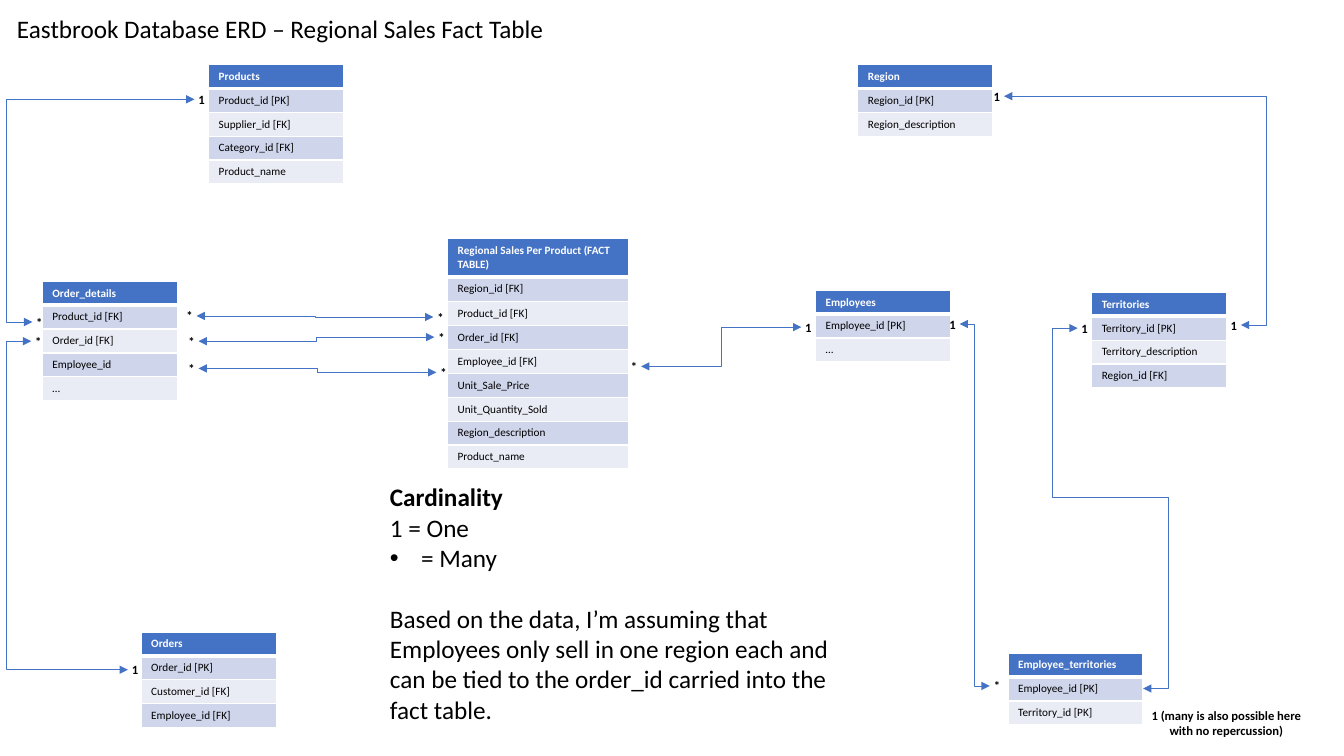
from lxml.etree import SubElement
from pptx import Presentation
from pptx.dml.color import RGBColor
from pptx.enum.shapes import MSO_CONNECTOR
from pptx.enum.text import PP_ALIGN
from pptx.oxml.ns import qn
from pptx.util import Inches, Pt

COLORS = {"header": "4472C4", "odd": "CFD5EA", "even": "E9EBF5",
          "line": "4472C4", "light": "FFFFFF", "text": "000000"}
FONT = "Calibri"
UNIT = Inches(0.1)  # one column or row of the slide grid
ENTITY_WIDTH, FIELD_HEIGHT = 13.4, 2.3
MARK_WIDTH, MARK_HEIGHT = 1.4, 2.5

# left, top, name, fields
ENTITIES = [
    (100, 64.8, "Employee_territories", ["Employee_id [PK]", "Territory_id [PK]"]),
    (80.9, 28.8, "Employees", ["Employee_id [PK]", "…"]),
    (4.2, 27.9, "Order_details",
     ["Product_id [FK]", "Order_id [FK]", "Employee_id", "…"]),
    (14, 62.7, "Orders", ["Order_id [PK]", "Customer_id [FK]", "Employee_id [FK]"]),
    (20.7, 6.4, "Products",
     ["Product_id [PK]", "Supplier_id [FK]", "Category_id [FK]", "Product_name"]),
    (85.1, 6.4, "Region", ["Region_id [PK]", "Region_description"]),
    (108.3, 29, "Territories",
     ["Territory_id [PK]", "Territory_description", "Region_id [FK]"]),
]
FACT_FIELDS = ["Region_id [FK]", "Product_id [FK]", "Order_id [FK]",
               "Employee_id [FK]", "Unit_Sale_Price", "Unit_Quantity_Sold",
               "Region_description", "Product_name"]

# Each end: left and top of its mark, the mark, the side where the arrow meets it.
# Last: the shares of the span where the arrow bends.
RELATIONS = [
    ((79.5, 31.2, "1", "left"), (62.2, 35.1, "*", "right"), [0.5]),
    ((121.7, 31, "1", "right"), (98.2, 8.3, "1", "right"), [-0.11]),
    ((106.9, 31.3, "1", "left"), (113.4, 67.05, "", "left"), [-0.39, 0.47, 1.39]),
    ((98.2, 66.8, "*", "left"), (93.8, 30.9, "1", "right"), [0.5]),
    ((3.2, 30.7, "*", "left"), (19.3, 8.6, "1", "left"), [-0.16]),
    ((3.1, 32.6, "*", "left"), (12.7, 65.2, "1", "left"), [-0.26]),
    ((43, 30.2, "*", "left"), (18.1, 30.1, "*", "right"), [0.5]),
    ((43.1, 32.2, "*", "left"), (18.3, 32.6, "*", "right"), [0.5]),
    ((43.3, 35.7, "*", "left"), (18.3, 35.3, "*", "right"), [0.5]),
]


def grid(*cells):
    """Turn grid columns and rows into slide lengths."""
    return [int(cell * UNIT) for cell in cells]


def style(paragraph, size, color="text", bold=False):
    """Set the font of a whole paragraph."""
    font = paragraph.font
    font.name, font.size, font.bold = FONT, Pt(size), bold
    font.color.rgb = RGBColor.from_string(COLORS[color])


def add_text(slide, box, lines, size, bold=False, align=PP_ALIGN.LEFT, inset=1):
    """Fill a box with one paragraph per line and return the paragraphs."""
    frame = slide.shapes.add_textbox(*grid(*box)).text_frame
    frame.word_wrap = True
    frame.margin_left, frame.margin_right = grid(inset, inset)
    frame.text = "\n".join(lines)
    for paragraph in frame.paragraphs:
        paragraph.alignment = align
        style(paragraph, size, bold=bold)
    return frame.paragraphs


def add_borders(cell, is_header):
    """Draw white cell borders, with a thick rule under the header."""
    properties = cell._tc.get_or_add_tcPr()
    for side in ("L", "R", "T", "B"):
        width = 3 if is_header and side == "B" else 1
        border = SubElement(properties, qn(f"a:ln{side}"), w=str(Pt(width)))
        fill = SubElement(border, qn("a:solidFill"))
        SubElement(fill, qn("a:srgbClr"), val=COLORS["light"])


def add_entity(slide, left, top, name, fields, width=ENTITY_WIDTH, heights=()):
    """Place a database table: its name, then its fields in banded rows."""
    labels = [name, *fields]
    heights = [*heights] + [FIELD_HEIGHT] * (len(labels) - len(heights))
    box = grid(left, top, width, sum(heights))
    table = slide.shapes.add_table(len(labels), 1, *box).table
    for index, (label, height) in enumerate(zip(labels, heights)):
        table.rows[index].height = grid(height)[0]
        cell = table.cell(index, 0)
        is_header = index == 0
        add_borders(cell, is_header)
        band = "header" if is_header else "odd" if index % 2 else "even"
        cell.fill.solid()
        cell.fill.fore_color.rgb = RGBColor.from_string(COLORS[band])
        cell.text = label
        style(cell.text_frame.paragraphs[0], 8,
              "light" if is_header else "text", is_header)


def add_mark(slide, left, top, symbol, side):
    """Place a cardinality mark and return the point where its arrow starts."""
    if symbol:
        add_text(slide, (left, top, MARK_WIDTH, MARK_HEIGHT), [symbol], 9,
                 bold=True, align=PP_ALIGN.CENTER, inset=0)
    return grid(left + (MARK_WIDTH if side == "right" else 0), top + MARK_HEIGHT / 2)


def add_relation(slide, start, end, bends):
    """Join two marks with a bent, double-headed arrow."""
    points = add_mark(slide, *start) + add_mark(slide, *end)
    connector = slide.shapes.add_connector(MSO_CONNECTOR.ELBOW, *points)
    connector.line.color.rgb = RGBColor.from_string(COLORS["line"])
    connector.line.width = Pt(0.5)
    line = connector.line._get_or_add_ln()
    for tag in ("a:headEnd", "a:tailEnd"):
        SubElement(line, qn(tag), type="triangle")
    properties = connector._element.spPr
    SubElement(properties, qn("a:effectLst"))
    geometry = properties.find(qn("a:prstGeom"))
    geometry.set("prst", f"bentConnector{len(bends) + 2}")
    guides = geometry.find(qn("a:avLst"))
    if guides is None:
        guides = SubElement(geometry, qn("a:avLst"))
    for number, bend in enumerate(bends, 1):
        SubElement(guides, qn("a:gd"), name=f"adj{number}",
                   fmla=f"val {round(bend * 100000)}")


def add_legend(slide, box):
    """Explain the cardinality marks and the assumption made."""
    heading, one, many, assumption = add_text(slide, box, [
        "Cardinality", "1 = One", "= Many",
        "Based on the data, I’m assuming that Employees only sell in one region "
        "each and can be tied to the order_id carried into the fact table."], 18)
    heading.font.bold = True
    assumption.space_before = Pt(22)
    properties = many._p.get_or_add_pPr()
    indent = Inches(0.31)
    properties.set("marL", str(indent))
    properties.set("indent", str(-indent))
    SubElement(properties, qn("a:buFont"), typeface="Arial")
    SubElement(properties, qn("a:buChar"), char="•")
    # Bullet settings come before the default run settings
    properties.append(properties.find(qn("a:defRPr")))


def build_diagram(presentation):
    """Build the entity relationship slide."""
    slide = presentation.slides.add_slide(presentation.slide_layouts[6])
    for entity in ENTITIES:
        add_entity(slide, *entity)
    add_entity(slide, 44.4, 23.7, "Regional Sales Per Product (FACT TABLE)",
               FACT_FIELDS, width=18, heights=(3.8, 2.4, 2.4))
    for relation in RELATIONS:
        add_relation(slide, *relation)
    add_text(slide, (0.7, 0.8, 61.1, 4),
             ["Eastbrook Database ERD – Regional Sales Fact Table"], 18)
    add_text(slide, (112.9, 69.7, 17.5, 4),
             ["1 (many is also possible here with no repercussion)"], 9,
             bold=True, align=PP_ALIGN.CENTER)
    add_legend(slide, (37.7, 47.3, 47.4, 25.2))


presentation = Presentation()
presentation.slide_width, presentation.slide_height = grid(133.33, 75)
build_diagram(presentation)
presentation.save("out.pptx")
